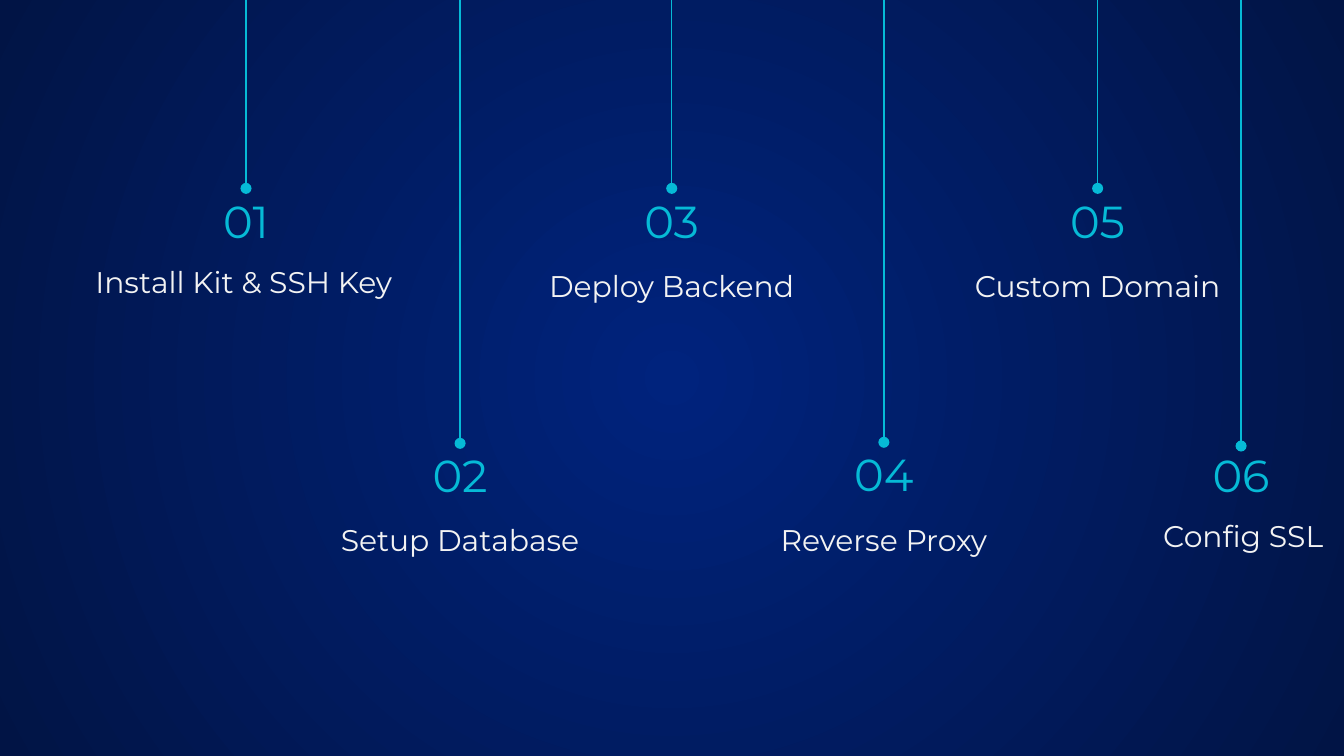
from dataclasses import dataclass

from lxml.etree import SubElement as Sub
from pptx import Presentation
from pptx.dml.color import RGBColor as RGB
from pptx.enum.shapes import MSO_CONNECTOR as Link
from pptx.enum.text import MSO_ANCHOR as Anchor, PP_ALIGN as Align
from pptx.oxml.ns import qn
from pptx.util import Cm, Pt


@dataclass(frozen=True)
class Theme:
    font: str = "Montserrat"
    core: RGB = RGB.from_string("00237D")
    edge: RGB = RGB.from_string("011445")
    cyan: RGB = RGB.from_string("06BAD6")
    pale: RGB = RGB.from_string("F3F3F3")
    large: Pt = Pt(24)
    small: Pt = Pt(16)
    line: Pt = Pt(0.75)


@dataclass(frozen=True)
class Step:
    label: str
    box: tuple
    num: float
    text: float
    shift: float = 0


THEME = Theme()
WIDE, HIGH = 25.4, 14.29
NUM_W, NUM_H = 2.97, 1.37
TEXT_H = 1.07
INSET = 0.25

STEPS = [
    Step("Install Kit & SSH Key", (1.27, 0, 6.68, 3.56), 3.56, 4.85, 0.04),
    Step("Setup Database", (5.99, 0, 5.41, 8.38), 8.36, 9.71),
    Step("Deploy Backend", (9.99, 0, 5.41, 3.56), 3.56, 4.91),
    Step("Reverse Proxy", (14, 0, 5.41, 8.36), 8.34, 9.71),
    Step("Custom Domain", (18.04, 0, 5.41, 3.56), 3.56, 4.91),
    Step("Config SSL", (20.79, 0, 5.41, 8.43), 8.36, 9.65, -0.04),
]


def paint(slide):
    fill = slide.background.fill
    fill.gradient()
    for stop, tint in zip(fill.gradient_stops, (THEME.core, THEME.edge)):
        stop.color.rgb = tint
    grad = slide.background._cSld.find(".//" + qn("a:gradFill"))
    grad.replace(grad.find(qn("a:lin")), ring := grad.makeelement(qn("a:path")))
    ring.set("path", "circle")
    Sub(ring, qn("a:fillToRect"), dict.fromkeys("ltrb", "50000"))


def write(slide, box, words, size, tint):
    frame = slide.shapes.add_textbox(*map(Cm, box)).text_frame
    frame.word_wrap = True
    frame.vertical_anchor = Anchor.BOTTOM
    frame.margin_left = frame.margin_right = Cm(INSET)
    frame.margin_top = frame.margin_bottom = Cm(INSET)
    para = frame.paragraphs[0]
    para.alignment = Align.CENTER
    run = para.add_run()
    run.text = words
    run.font.name = THEME.font
    run.font.size = size
    run.font.color.rgb = tint


def hang(slide, x, top, end):
    cord = slide.shapes.add_connector(
        Link.STRAIGHT, Cm(x), Cm(end), Cm(x), Cm(top))
    cord.line.color.rgb = THEME.cyan
    cord.line.width = THEME.line
    props = cord._element.spPr
    Sub(props.find(qn("a:ln")), qn("a:headEnd"), type="oval")
    Sub(props, qn("a:effectLst"))


def draw_step(slide, rank, step):
    left, top, width, height = step.box
    mid = left + width / 2 + step.shift
    hang(slide, mid, top, top + height)
    write(slide, (mid - NUM_W / 2, step.num, NUM_W, NUM_H),
          f"{rank:02}", THEME.large, THEME.cyan)
    write(slide, (left, step.text, width, TEXT_H),
          step.label, THEME.small, THEME.pale)


def main():
    deck = Presentation()
    deck.slide_width, deck.slide_height = Cm(WIDE), Cm(HIGH)
    slide = deck.slides.add_slide(deck.slide_layouts[6])
    paint(slide)
    for rank, step in enumerate(STEPS, 1):
        draw_step(slide, rank, step)
    deck.save("out.pptx")


if __name__ == "__main__":
    main()
